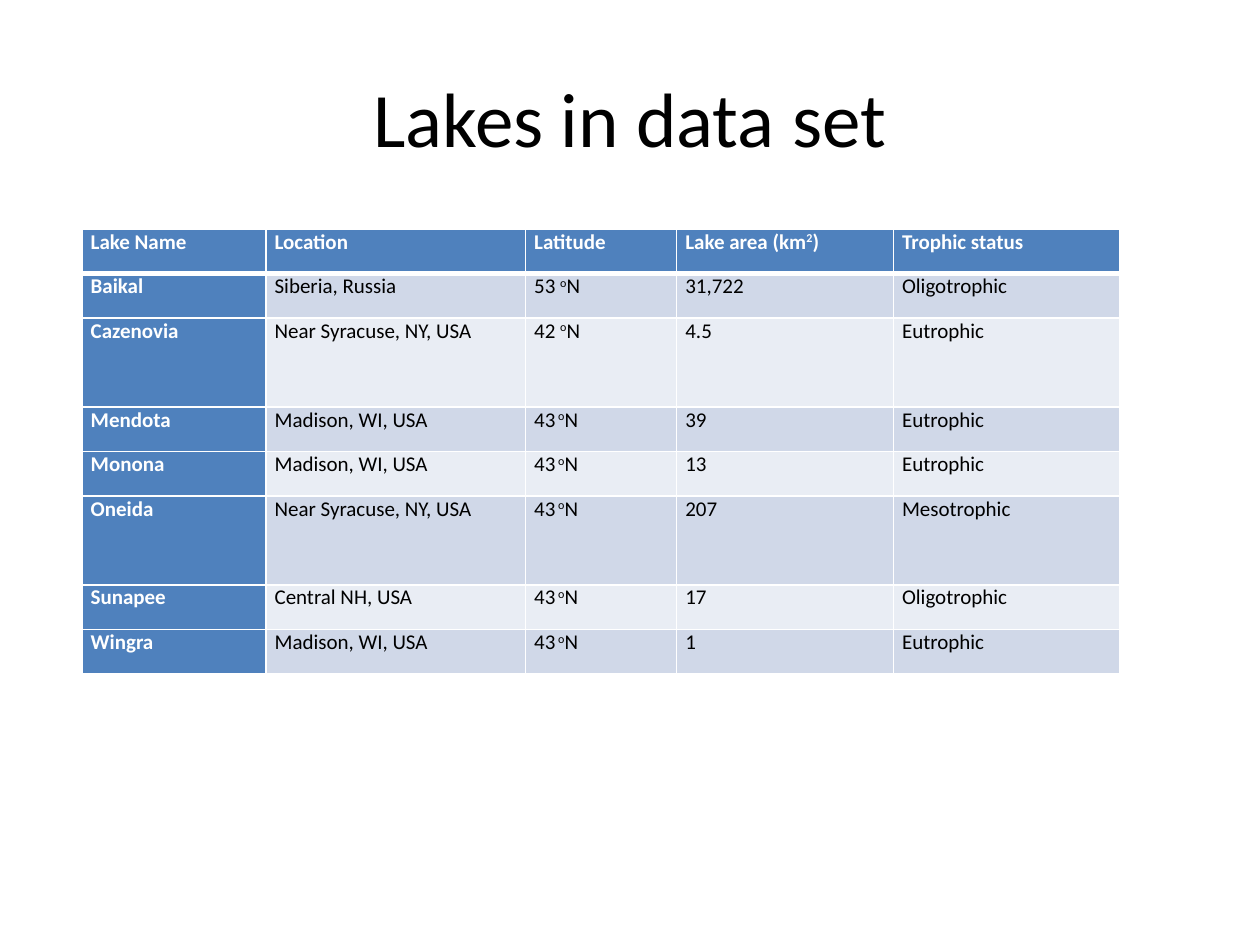
from lxml import etree
from pptx import Presentation, util as u
from pptx.dml.color import RGBColor
from pptx.enum import text
from pptx.oxml.ns import qn

FONT = "Calibri"
COLORS = {
    "header": "4F81BD",
    "odd_band": "D0D8E8",
    "even_band": "E9EDF4",
    "white": "FFFFFF",
    "black": "000000",
}
COLUMN_WIDTHS = [1.46, 2.06, 1.2, 1.72, 1.8]
ROW_HEIGHT = 0.353
TALL_LAKES = {"Cazenovia", "Oneida"}
SUPERSCRIPT_MARK = "^"
LAKES = [
    ["Lake Name", "Location", "Latitude", "Lake area (km^2^)", "Trophic status"],
    ["Baikal", "Siberia, Russia", "53 ^o^N", "31,722", "Oligotrophic"],
    ["Cazenovia", "Near Syracuse, NY, USA", "42 ^o^N", "4.5", "Eutrophic"],
    ["Mendota", "Madison, WI, USA", "43^ o^N", "39", "Eutrophic"],
    ["Monona", "Madison, WI, USA", "43^ o^N", "13", "Eutrophic"],
    ["Oneida", "Near Syracuse, NY, USA", "43^ o^N", "207", "Mesotrophic"],
    ["Sunapee", "Central NH, USA", "43^ o^N", "17", "Oligotrophic"],
    ["Wingra", "Madison, WI, USA", "43^ o^N", "1", "Eutrophic"],
]


def add_runs(para, content, size, color, bold=False):
    for index, part in enumerate(content.split(SUPERSCRIPT_MARK)):
        span = para.add_run()
        span.text = part
        span.font.name = FONT
        span.font.size = u.Pt(size)
        span.font.bold = bold
        span.font.color.rgb = RGBColor.from_string(COLORS[color])
        if index % 2:
            span.font._element.set("baseline", "30000")


def add_title(page, content):
    box = page.shapes.add_textbox(u.Inches(0.5), u.Inches(0.3), u.Inches(9), u.Inches(1.25))
    frame = box.text_frame
    frame.word_wrap = True
    frame.vertical_anchor = text.MSO_ANCHOR.MIDDLE
    para = frame.paragraphs[0]
    para.alignment = text.PP_ALIGN.CENTER
    add_runs(para, content, 44, "black")


def set_border(cell, side, points):
    properties = cell._tc.get_or_add_tcPr()
    line = etree.SubElement(properties, qn(f"a:{side}"), w=str(u.Pt(points)))
    fill = etree.SubElement(line, qn("a:solidFill"))
    etree.SubElement(fill, qn("a:srgbClr"), val=COLORS["white"])


def fill_cell(cell, content, row, column):
    is_heading = row == 0 or column == 0
    cell.margin_left = cell.margin_right = u.Inches(0.07)
    cell.margin_top = cell.margin_bottom = 0
    for side in ("lnL", "lnR", "lnT", "lnB"):
        meets_header_rule = (row, side) in ((0, "lnB"), (1, "lnT"))
        set_border(cell, side, 3 if meets_header_rule else 1)
    band = "odd_band" if row % 2 else "even_band"
    cell.fill.solid()
    cell.fill.fore_color.rgb = RGBColor.from_string(COLORS["header" if is_heading else band])
    color = "white" if is_heading else "black"
    add_runs(cell.text_frame.paragraphs[0], content, 12, color, is_heading)


def add_lake_table(page):
    heights = [ROW_HEIGHT * (2 if lake[0] in TALL_LAKES else 1) for lake in LAKES]
    frame = page.shapes.add_table(
        len(LAKES), len(COLUMN_WIDTHS), u.Inches(0.65), u.Inches(1.82),
        u.Inches(sum(COLUMN_WIDTHS)), u.Inches(sum(heights)))
    table = frame.table
    table.first_col = True
    for column, width in zip(table.columns, COLUMN_WIDTHS):
        column.width = u.Inches(width)
    for row, height in zip(table.rows, heights):
        row.height = u.Inches(height)
    for row, lake in enumerate(LAKES):
        for column, content in enumerate(lake):
            fill_cell(table.cell(row, column), content, row, column)


def main():
    deck = Presentation()
    deck.slide_width = u.Inches(10)
    deck.slide_height = u.Inches(7.5)
    page = deck.slides.add_slide(deck.slide_layouts[6])
    add_title(page, "Lakes in data set")
    add_lake_table(page)
    deck.save("out.pptx")


if __name__ == "__main__":
    main()
